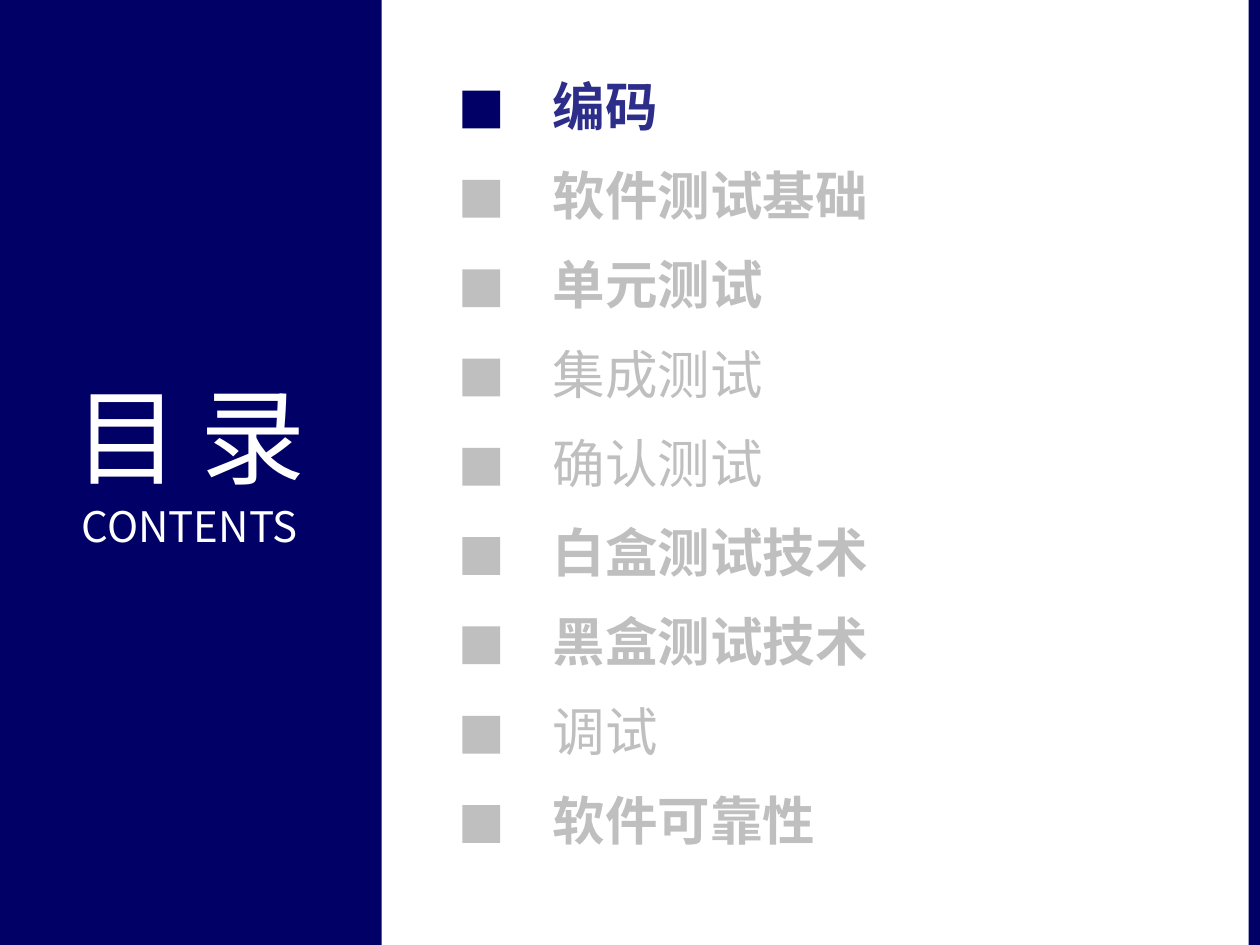
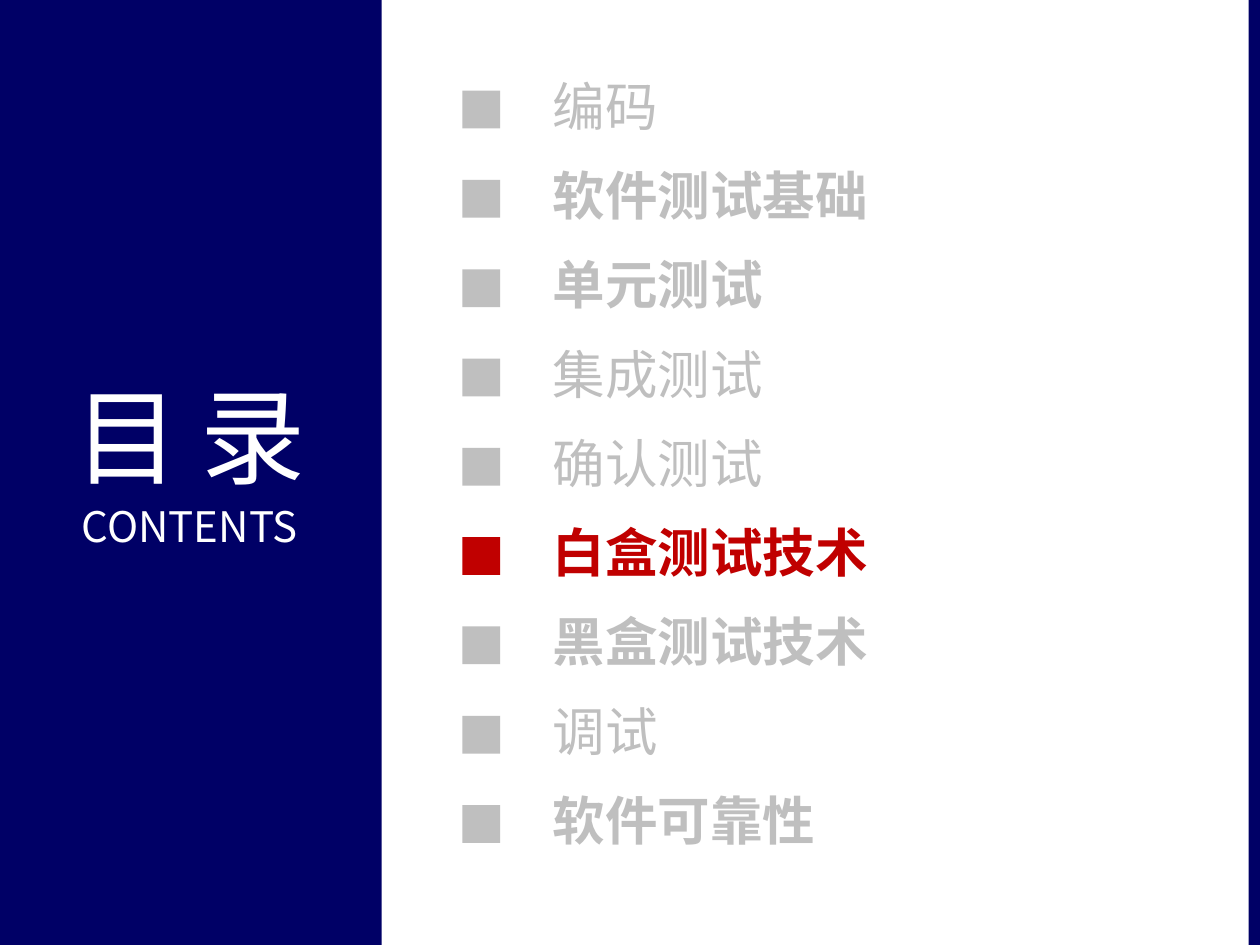
import pptx
import pptx.dml.color
import pptx.enum.shapes
import pptx.enum.text
import pptx.oxml.ns
import pptx.util
from lxml import etree
from pptx.util import Inches

RGBColor = pptx.dml.color.RGBColor
NAVY = RGBColor(0x00, 0x00, 0x66)
INDIGO = RGBColor(0x2D, 0x2D, 0x8A)
RED = RGBColor(0xC0, 0x00, 0x00)
GREY = RGBColor(0xBF, 0xBF, 0xBF)
WHITE = RGBColor(0xFF, 0xFF, 0xFF)
FONT = "Noto Sans CJK SC"

SLIDE_W, SLIDE_H = Inches(10), Inches(7.5)
TITLE_BAND = (Inches(-0.02), 0, Inches(3.05), SLIDE_H)
EDGE_BAND = (Inches(9.91), 0, Inches(0.09), SLIDE_H)
CHAPTER_LIST = (Inches(3.67), Inches(0.55), Inches(4.48), Inches(6.28))

CHAPTERS = ["编码", "软件测试基础", "单元测试", "集成测试", "确认测试",
            "白盒测试技术", "黑盒测试技术", "调试", "软件可靠性"]
BOLD_CHAPTERS = {"软件测试基础", "单元测试", "白盒测试技术", "黑盒测试技术", "软件可靠性"}


def add_block(page, box, color):
    block = page.shapes.add_shape(pptx.enum.shapes.MSO_SHAPE.RECTANGLE, *box)
    block.shadow.inherit = False
    block.fill.solid()
    block.fill.fore_color.rgb = color
    block.line.fill.background()
    return block


def add_span(para, text, size, color, bold=False, spacing=0):
    """Add a run; spacing is the gap between letters in points."""
    span = para.add_run()
    span.text = text
    span.font.size = pptx.util.Pt(size)
    span.font.name = FONT
    span.font.bold = bold
    span.font.color.rgb = color
    properties = span.font._element
    properties.set("spc", str(spacing * 100))
    etree.SubElement(properties, pptx.oxml.ns.qn("a:ea"), typeface=FONT)


def set_frame(frame):
    frame.word_wrap = True
    frame.auto_size = pptx.enum.text.MSO_AUTO_SIZE.NONE
    frame.vertical_anchor = pptx.enum.text.MSO_ANCHOR.MIDDLE


def add_title_band(page, box):
    left, top, width, height = box
    band = add_block(page, box, NAVY)
    title = page.shapes.title
    band.element.addnext(title.element)
    title.left, title.width = left, width
    title.top, title.height = top + Inches(2.89), Inches(1.72)
    frame = title.text_frame
    set_frame(frame)
    frame.margin_bottom = Inches(0.23)
    lines = [("目录", 60, 12, 0), ("CONTENTS", 24, 0, 2)]
    for index, (text, size, spacing, before) in enumerate(lines):
        para = frame.add_paragraph() if index else frame.paragraphs[0]
        para.alignment = pptx.enum.text.PP_ALIGN.CENTER
        para.line_spacing = 1.0
        para.space_before = pptx.util.Pt(before)
        add_span(para, text, size, WHITE, spacing=spacing)


def add_chapter(page, box, name, color, bold):
    left, top, width, height = box
    marker = Inches(0.3)
    label_left = Inches(0.62)
    add_block(page, (left, top + Inches(0.17), marker, marker), color)
    label = page.shapes.add_textbox(left + label_left, top, width - label_left, height)
    set_frame(label.text_frame)
    label.text_frame.margin_bottom = Inches(0.09)
    add_span(label.text_frame.paragraphs[0], name, 30, color if name != CHAPTERS[0] or color == GREY
             else INDIGO, bold)


def add_chapter_list(page, box, current, accent):
    left, top, width, height = box
    row_height = Inches(0.61)
    step = (height - row_height) / (len(CHAPTERS) - 1)
    for index, name in enumerate(CHAPTERS):
        row = (left, top + round(index * step), width, row_height)
        is_current = name == current
        add_chapter(page, row, name, accent if is_current else GREY,
                    is_current or name in BOLD_CHAPTERS)


def add_contents_page(deck, current, accent):
    page = deck.slides.add_slide(deck.slide_layouts[5])
    add_title_band(page, TITLE_BAND)
    add_block(page, EDGE_BAND, NAVY)
    add_chapter_list(page, CHAPTER_LIST, current, accent)


def main():
    deck = pptx.Presentation()
    deck.slide_width, deck.slide_height = SLIDE_W, SLIDE_H
    add_contents_page(deck, "编码", NAVY)
    add_contents_page(deck, "白盒测试技术", RED)
    deck.save("out.pptx")


if __name__ == "__main__":
    main()
